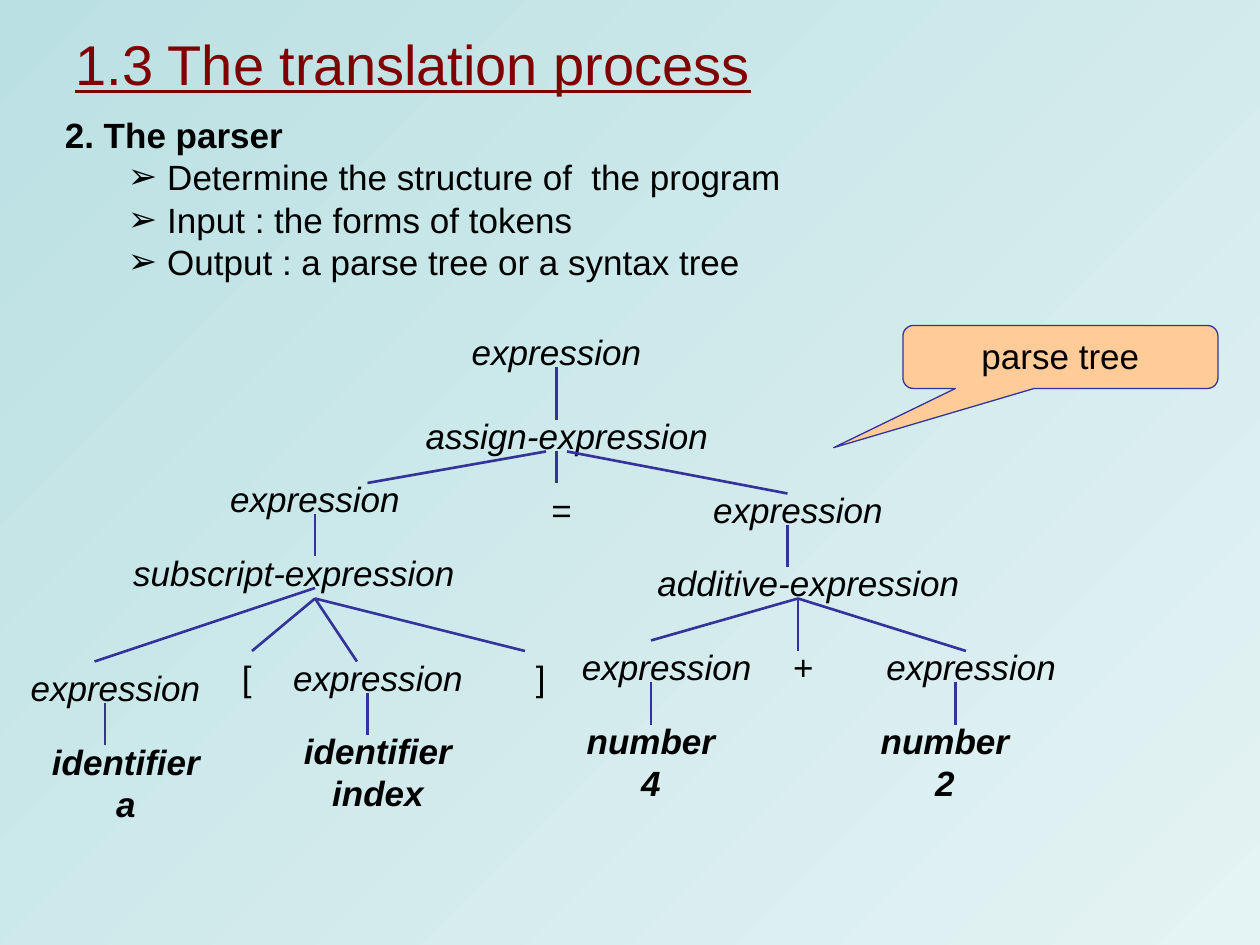
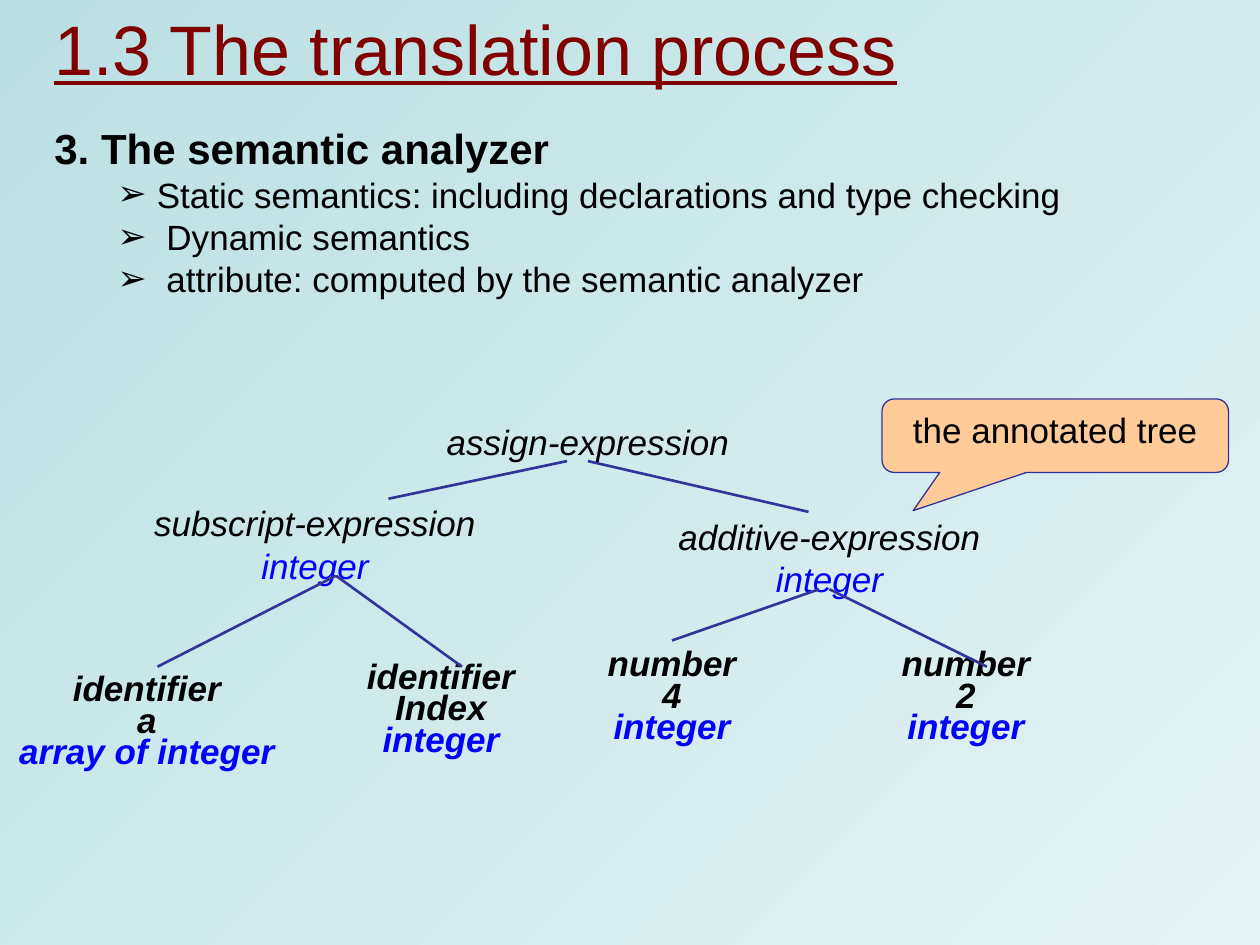
from lxml.etree import SubElement
from pptx import Presentation
from pptx.dml.color import RGBColor
from pptx.enum.shapes import MSO_CONNECTOR, MSO_SHAPE
from pptx.enum.text import MSO_ANCHOR, PP_ALIGN
from pptx.oxml.ns import qn
from pptx.util import Pt

BACKGROUND_STOPS = (RGBColor(0xBB, 0xE0, 0xE3), RGBColor(0xE4, 0xF3, 0xF4))
TITLE_RED = RGBColor(0x80, 0x00, 0x00)
BLACK = RGBColor(0x00, 0x00, 0x00)
ATTRIBUTE_BLUE = RGBColor(0x00, 0x00, 0xFF)
LINE_BLUE = RGBColor(0x33, 0x33, 0x99)
CALLOUT_ORANGE = RGBColor(0xFF, 0xCC, 0x99)
FONT = "Arial"
TITLE = "1.3 The translation process"
SYMBOL, LEAF, WIDE = 42, 108, 156

# Nodes are (text, left, top, width); branches are (x1, y1, x2, y2)
slides = [
    {
        "title_box": (36, 12, 672, 48), "title_size": 32,
        "body_box": (30, 66, 648, 108), "heading_size": 20,
        "heading": "2. The parser",
        "points": ["Determine the structure of  the program",
                   "Input : the forms of tokens",
                   "Output : a parse tree or a syntax tree"],
        "node_height": 30, "leaf_spacing": 1.0,
        "nodes": [
            ("expression", 240, 186, WIDE),
            ("assign-expression", 246, 234, WIDE),
            ("expression", 102, 270, WIDE),
            ("=", 300, 276, SYMBOL),
            ("expression", 378, 276, WIDE),
            ("subscript-expression", 90, 312, WIDE),
            ("additive-expression", 384, 318, WIDE),
            ("expression", 12, 378, LEAF),
            ("[", 120, 372, SYMBOL),
            ("expression", 162, 372, LEAF),
            ("]", 288, 372, SYMBOL),
            ("expression", 330, 366, 102),
            ("+", 438, 366, SYMBOL),
            ("expression", 504, 366, 102),
            ("identifier\na", 18, 432, LEAF),
            ("identifier\nindex", 162, 426, LEAF),
            ("number\n4", 318, 420, LEAF),
            ("number\n2", 486, 420, LEAF),
        ],
        "branches": [
            (318, 210, 318, 240),
            (312, 258, 210, 276), (318, 258, 318, 276), (324, 258, 450, 282),
            (180, 294, 180, 318), (450, 300, 450, 324),
            (180, 336, 54, 378), (180, 342, 144, 372),
            (180, 342, 204, 378), (180, 342, 300, 372),
            (456, 342, 372, 366), (456, 342, 456, 372), (456, 342, 552, 372),
            (60, 402, 60, 426), (210, 396, 210, 420),
            (372, 390, 372, 414), (546, 390, 546, 414),
        ],
        "callout": "parse tree", "callout_box": (516, 186, 180, 36),
        "callout_tip": (-0.72, 1.44),
    },
    {
        "title_box": (24, 0, 672, 54), "title_size": 40,
        "body_box": (24, 72, 648, 108), "heading_size": 24,
        "heading": "3. The semantic analyzer",
        "points": ["Static semantics: including declarations and type checking",
                   " Dynamic semantics",
                   " attribute: computed by the semantic analyzer"],
        "node_height": 36.75, "leaf_spacing": 0.75,
        "nodes": [
            ("assign-expression", 258, 234, WIDE),
            ("subscript-expression\ninteger", 102, 292.5, WIDE),
            ("additive-expression\ninteger", 396, 300, WIDE),
            ("identifier\na\narray of integer", 30, 395.25, LEAF),
            ("identifier\nIndex\ninteger", 198, 388, LEAF),
            ("number\n4\ninteger", 330, 381, LEAF),
            ("number\n2\ninteger", 498, 381, LEAF),
        ],
        "branches": [
            (324, 263.5, 222, 285), (336, 263.5, 462, 292.5),
            (192, 329, 90, 381), (192, 329, 264, 381),
            (468, 336.75, 384, 366), (474, 336.75, 564, 381),
        ],
        "callout": "the annotated tree", "callout_box": (504, 228, 198, 42),
        "callout_tip": (-0.41, 1.02),
    },
]


def add_text_box(slide, box, anchor):
    """Add an empty wrapping text box and return it."""
    shape = slide.shapes.add_textbox(*[Pt(length) for length in box])
    shape.text_frame.word_wrap = True
    shape.text_frame.vertical_anchor = anchor
    return shape


def style(paragraph, size=20, color=BLACK, bold=False, italic=False):
    """Set the font of a whole paragraph."""
    font = paragraph.font
    font.name, font.size, font.bold, font.italic = FONT, Pt(size), bold, italic
    font.color.rgb = color


presentation = Presentation()
presentation.slide_width, presentation.slide_height = Pt(720), Pt(540)

for content in slides:
    slide = presentation.slides.add_slide(presentation.slide_layouts[6])

    # Diagonal background gradient
    fill = slide.background.fill
    fill.gradient()
    fill.gradient_angle = 315
    for stop, color in zip(fill.gradient_stops, BACKGROUND_STOPS):
        stop.color.rgb = color

    # Title
    title = add_text_box(slide, content["title_box"], MSO_ANCHOR.MIDDLE)
    paragraph = title.text_frame.paragraphs[0]
    paragraph.text = TITLE
    style(paragraph, content["title_size"], TITLE_RED)
    paragraph.font.underline = True

    # Heading and bullet points
    body = add_text_box(slide, content["body_box"], MSO_ANCHOR.TOP)
    body.text_frame.text = "\n".join([content["heading"], *content["points"]])
    for index, paragraph in enumerate(body.text_frame.paragraphs):
        paragraph.alignment = PP_ALIGN.JUSTIFY
        paragraph.line_spacing = 0.8
        properties = paragraph._p.get_or_add_pPr()
        if index == 0:
            margin, indent = 27, -27
            style(paragraph, content["heading_size"], bold=True)
        else:
            margin, indent = 58.5, -22.5
            paragraph.level = 1
            paragraph.space_before = Pt(5)
            bullet_color = SubElement(properties, qn("a:buClr"))
            SubElement(bullet_color, qn("a:srgbClr"), val=str(BLACK))
            SubElement(properties, qn("a:buFont"), typeface=FONT)
            SubElement(properties, qn("a:buChar"), char="➢")
            style(paragraph)
        properties.set("marL", str(Pt(margin)))
        properties.set("indent", str(Pt(indent)))

    # Tree nodes: unfilled rectangles whose labels may run past the sides
    height = content["node_height"]
    bottom_middles = {}
    for text, left, top, width in content["nodes"]:
        node = slide.shapes.add_shape(
            MSO_SHAPE.RECTANGLE, Pt(left), Pt(top), Pt(width), Pt(height))
        node.shadow.inherit = False
        node.fill.background()
        node.line.fill.background()
        node.text_frame.word_wrap = False
        node.text_frame.vertical_anchor = MSO_ANCHOR.MIDDLE
        node.text_frame.text = text
        is_leaf = text.startswith(("identifier", "number"))
        for paragraph in node.text_frame.paragraphs:
            is_attribute = paragraph.text.endswith("integer")
            paragraph.alignment = PP_ALIGN.CENTER
            if is_leaf:
                paragraph.line_spacing = content["leaf_spacing"]
            style(paragraph, color=ATTRIBUTE_BLUE if is_attribute else BLACK,
                  bold=is_leaf, italic=width != SYMBOL)
        bottom_middles[left + width / 2, top + height] = node

    # Tree branches
    for branch in content["branches"]:
        connector = slide.shapes.add_connector(
            MSO_CONNECTOR.STRAIGHT, *[Pt(length) for length in branch])
        connector.line.color.rgb = LINE_BLUE
        connector.line.width = Pt(1.5)
        SubElement(connector._element.spPr, qn("a:effectLst"))
        if branch[:2] in bottom_middles:
            connector.begin_connect(bottom_middles[branch[:2]], 2)

    # Callout naming the tree
    callout = slide.shapes.add_shape(
        MSO_SHAPE.ROUNDED_RECTANGULAR_CALLOUT,
        *[Pt(length) for length in content["callout_box"]])
    callout.adjustments[0], callout.adjustments[1] = content["callout_tip"]
    callout.shadow.inherit = False
    callout.fill.solid()
    callout.fill.fore_color.rgb = CALLOUT_ORANGE
    callout.line.color.rgb = LINE_BLUE
    callout.line.width = Pt(0.75)
    callout.text_frame.vertical_anchor = MSO_ANCHOR.TOP
    paragraph = callout.text_frame.paragraphs[0]
    paragraph.text = content["callout"]
    paragraph.alignment = PP_ALIGN.CENTER
    style(paragraph)

presentation.save("out.pptx")
